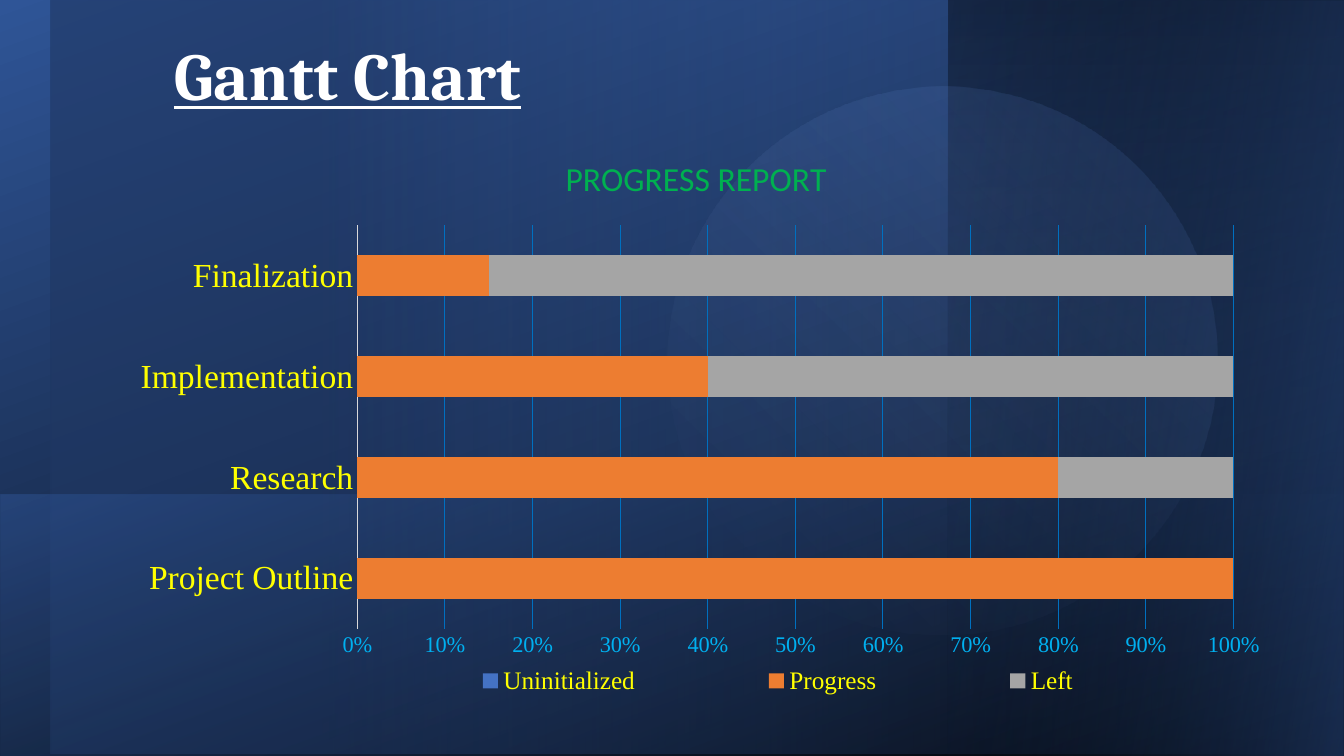
import pptx
import pptx.chart.data
import pptx.dml.color
import pptx.enum.chart
import pptx.enum.shapes
import pptx.enum.text
import pptx.oxml
import pptx.oxml.ns
import pptx.util
from pptx.util import Pt

COLORS = {
    "black": "000000",
    "white": "FFFFFF",
    "navy": "203864",
    "deep blue": "2F5597",
    "blue": "4472C4",
    "light blue": "8FAADC",
    "orange": "ED7D31",
    "grey": "A5A5A5",
    "axis grey": "D9D9D9",
    "grid blue": "0070C0",
    "sky": "00B0F0",
    "yellow": "FFFF00",
    "green": "00B050",
}
STAGES = ["Project Outline", "Research", "Implementation", "Finalization"]
PROGRESS = [100, 80, 40, 15]
SERIES = [
    ("Uninitialized", [0] * len(STAGES), "blue"),
    ("Progress", PROGRESS, "orange"),
    ("Left", [100 - done for done in PROGRESS], "grey"),
]
RECTANGLE = pptx.enum.shapes.MSO_SHAPE.RECTANGLE
OVAL = pptx.enum.shapes.MSO_SHAPE.OVAL


def rgb(name):
    return pptx.dml.color.RGBColor.from_string(COLORS[name])


def style_font(font, typeface, size, color, bold=False):
    font.name = typeface
    font.size = Pt(size)
    font.bold = bold
    font.color.rgb = rgb(color)


def add_gradient_shape(slide, preset, box, stops, angle, rotation=0, flipped=False):
    """Stops are (position %, colour name, opacity %)."""
    shape = slide.shapes.add_shape(preset, *[Pt(length) for length in box])
    shape.shadow.inherit = False
    shape.line.fill.background()
    shape.rotation = rotation
    if flipped:
        shape.element.spPr.xfrm.set("flipH", "1")
    stop_xml = "".join(
        f'<a:gs pos="{position * 1000}"><a:srgbClr val="{COLORS[color]}">'
        f'<a:alpha val="{opacity * 1000}"/></a:srgbClr></a:gs>'
        for position, color, opacity in stops
    )
    gradient = pptx.oxml.parse_xml(
        f'<a:gradFill {pptx.oxml.ns.nsdecls("a")} rotWithShape="1">'
        f'<a:gsLst>{stop_xml}</a:gsLst>'
        f'<a:lin ang="{angle * 60000}" scaled="0"/></a:gradFill>'
    )
    shape.element.spPr.find(pptx.oxml.ns.qn("a:prstGeom")).addnext(gradient)
    return shape


def set_title(slide, below):
    title = slide.shapes.title
    title.left, title.top, title.width, title.height = Pt(106.5), Pt(25), Pt(784), Pt(61)
    below.element.addnext(title.element)
    frame = title.text_frame
    frame.vertical_anchor = pptx.enum.text.MSO_ANCHOR.BOTTOM
    frame.auto_size = pptx.enum.text.MSO_AUTO_SIZE.NONE
    paragraph = frame.paragraphs[0]
    paragraph.alignment = pptx.enum.text.PP_ALIGN.JUSTIFY
    paragraph.line_spacing = 0.9
    for text, underlined in ((" ", False), ("Gantt Chart", True)):
        run = paragraph.add_run()
        run.text = text
        style_font(run.font, "Cambria", 48, "white", bold=True)
        run.font.underline = underlined


def set_layout(element, x, y, width, height, inner=False):
    """Place a chart part by fractions of the chart's size."""
    target = '<c:layoutTarget val="inner"/>' if inner else ""
    layout = pptx.oxml.parse_xml(
        f'<c:layout {pptx.oxml.ns.nsdecls("c")}><c:manualLayout>{target}'
        f'<c:xMode val="edge"/><c:yMode val="edge"/><c:x val="{x}"/><c:y val="{y}"/>'
        f'<c:w val="{width}"/><c:h val="{height}"/></c:manualLayout></c:layout>'
    )
    for present in element.findall(pptx.oxml.ns.qn("c:layout")):
        element.remove(present)
    if inner:
        element.insert(0, layout)
    else:
        element.find(pptx.oxml.ns.qn("c:legendPos")).addnext(layout)


def style_axis(axis, size, color):
    axis.major_tick_mark = pptx.enum.chart.XL_TICK_MARK.NONE
    axis.minor_tick_mark = pptx.enum.chart.XL_TICK_MARK.NONE
    style_font(axis.tick_labels.font, "Times New Roman", size, color)


def add_progress_chart(slide):
    data = pptx.chart.data.CategoryChartData()
    data.categories = STAGES
    for name, values, _ in SERIES:
        data.add_series(name, values)
    chart = slide.shapes.add_chart(
        pptx.enum.chart.XL_CHART_TYPE.BAR_STACKED_100,
        Pt(80), Pt(95), Pt(834.5), Pt(412), data,
    ).chart
    style_font(chart.font, "Calibri", 10, "black")

    # Chart title
    chart.has_title = True
    run = chart.chart_title.text_frame.paragraphs[0].add_run()
    run.text = "PROGRESS REPORT"
    style_font(run.font, "Calibri", 24, "green")
    chart.chart_title.include_in_layout = False

    # Bars
    plot = chart.plots[0]
    plot.gap_width = 150
    plot.overlap = 100
    plot.vary_by_categories = False
    for series, (_, _, color) in zip(plot.series, SERIES):
        series.format.fill.solid()
        series.format.fill.fore_color.rgb = rgb(color)
    set_layout(chart.element.chart.plotArea, 0.21, 0.16, 0.75, 0.7, inner=True)

    # Axes
    stage_axis, percent_axis = chart.category_axis, chart.value_axis
    style_axis(stage_axis, 24, "yellow")
    style_axis(percent_axis, 16, "sky")
    percent_axis.tick_labels.number_format = "0%"
    percent_axis.tick_labels.number_format_is_linked = False
    percent_axis.format.line.fill.background()
    percent_axis.has_major_gridlines = True
    for line, color in (
        (stage_axis.format.line, "axis grey"),
        (percent_axis.major_gridlines.format.line, "grid blue"),
    ):
        line.color.rgb = rgb(color)
        line.width = Pt(0.75)

    # Legend
    chart.has_legend = True
    legend = chart.legend
    legend.position = pptx.enum.chart.XL_LEGEND_POSITION.BOTTOM
    legend.include_in_layout = False
    style_font(legend.font, "Times New Roman", 18, "yellow")
    set_layout(legend._element, 0.21, 0.91, 0.72, 0.08)


def main():
    presentation = pptx.Presentation()
    presentation.slide_width, presentation.slide_height = Pt(960), Pt(540)
    slide = presentation.slides.add_slide(presentation.slide_layouts[0])
    subtitle = slide.placeholders[1].element
    subtitle.getparent().remove(subtitle)

    # Backdrop
    add_gradient_shape(slide, RECTANGLE, (0, 0, 960, 540),
                       [(0, "black", 100), (100, "deep blue", 100)], 250)
    add_gradient_shape(slide, RECTANGLE, (36, 0, 925, 538.5),
                       [(21, "navy", 61), (100, "blue", 0)], 0, 180, True)
    add_gradient_shape(slide, RECTANGLE, (677.5, 0, 284.5, 540),
                       [(0, "deep blue", 0), (99, "black", 41)], 270)
    glow = add_gradient_shape(slide, OVAL, (477.5, 61, 391, 393),
                              [(0, "blue", 24), (79, "light blue", 0)], 240, 254.6)
    add_gradient_shape(slide, RECTANGLE, (0.5, 353, 959, 187),
                       [(0, "deep blue", 50), (99, "black", 34)], 290, 180, True)
    add_gradient_shape(slide, RECTANGLE, (548.5, 129, 540, 283),
                       [(0, "deep blue", 50), (99, "black", 0)], 260, 270, True)

    set_title(slide, below=glow)
    add_progress_chart(slide)
    presentation.save("out.pptx")


if __name__ == "__main__":
    main()
